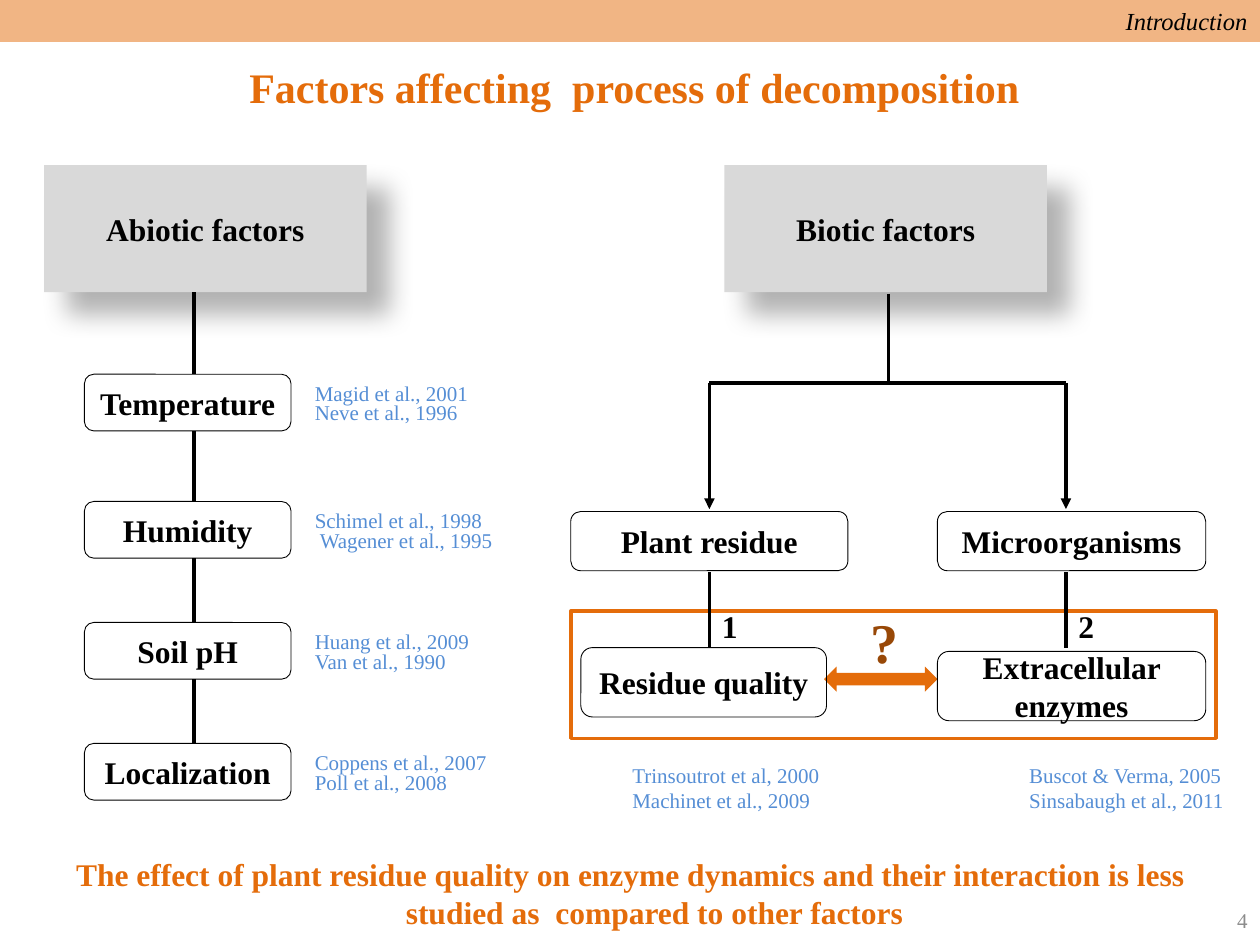
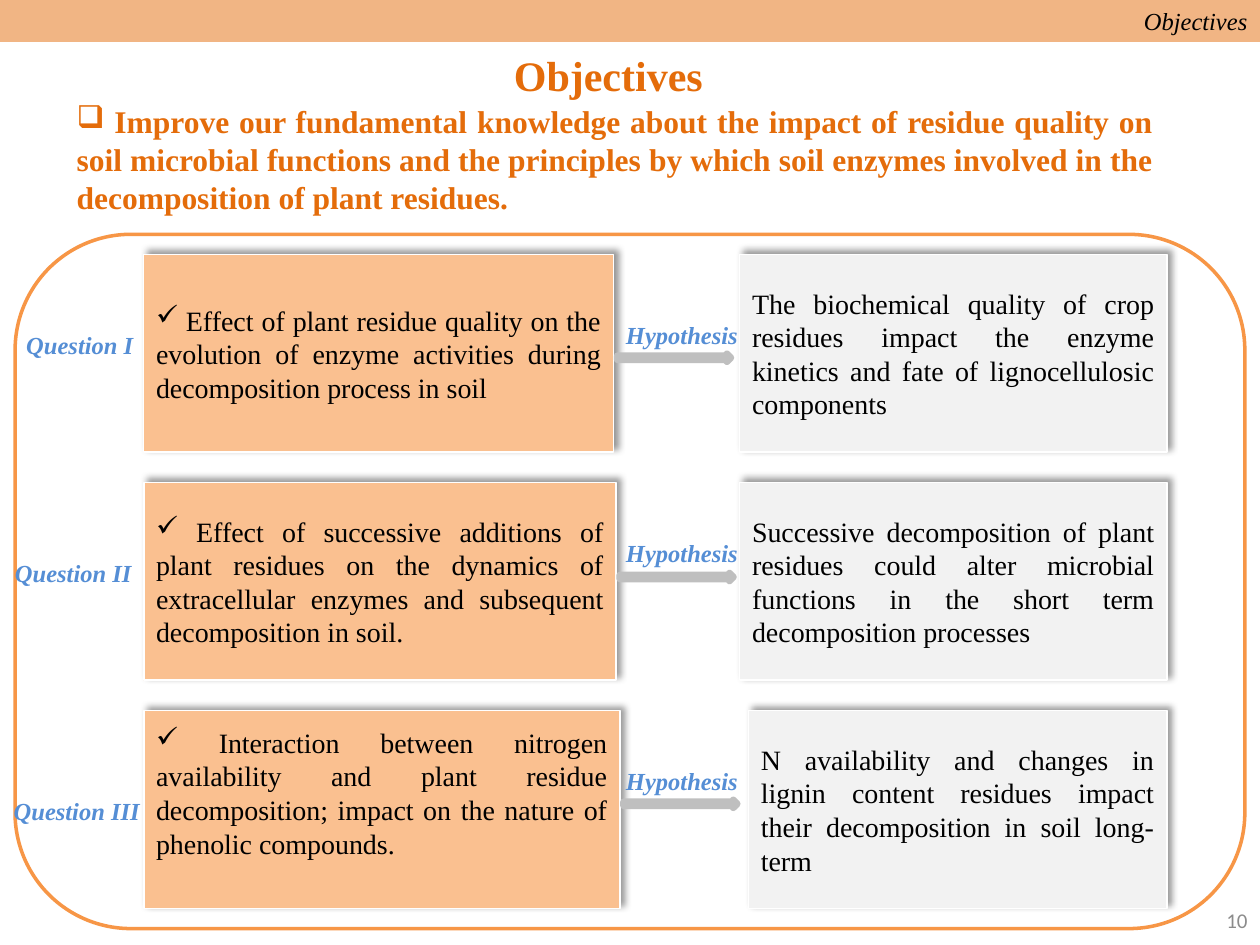
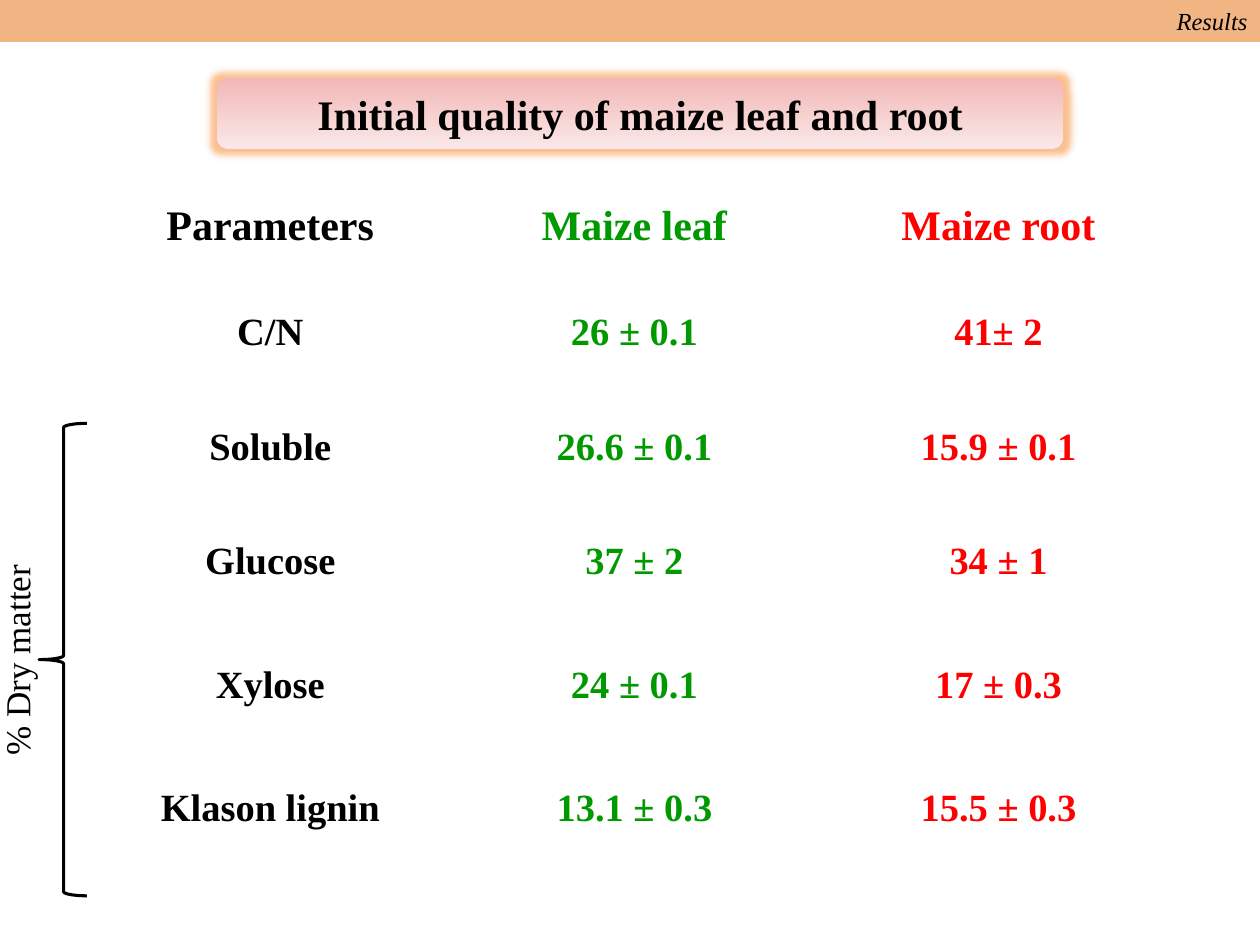
from typing import NamedTuple

from lxml import etree
from pptx import Presentation
from pptx.dml.color import RGBColor
from pptx.enum.shapes import MSO_CONNECTOR, MSO_SHAPE
from pptx.enum.text import MSO_ANCHOR, PP_ALIGN
from pptx.oxml.ns import qn
from pptx.util import Emu, Inches, Pt

RECTANGLE, ROUNDED = MSO_SHAPE.RECTANGLE, MSO_SHAPE.ROUNDED_RECTANGLE
RIGHT_ARROW, DOUBLE_ARROW = MSO_SHAPE.RIGHT_ARROW, MSO_SHAPE.LEFT_RIGHT_ARROW
BRACE, STRAIGHT = MSO_SHAPE.LEFT_BRACE, MSO_CONNECTOR.STRAIGHT
LEFT, CENTER, RIGHT, JUSTIFY = PP_ALIGN.LEFT, PP_ALIGN.CENTER, PP_ALIGN.RIGHT, PP_ALIGN.JUSTIFY
TOP, MIDDLE = MSO_ANCHOR.TOP, MSO_ANCHOR.MIDDLE

SLIDE_WIDTH, SLIDE_HEIGHT = Inches(10), Inches(7.5)
COLUMNS, ROWS = 100, 75
CELL = SLIDE_WIDTH / COLUMNS

BLACK, WHITE, ORANGE, BLUE = "000000", "FFFFFF", "E46C0A", "558ED5"
PEACH, LIGHT_ORANGE, BROWN = "FAC090", "F79646", "984807"
GREY, PALE_GREY, ARROW_GREY, DARK_GREY, NUMBER_GREY = "D9D9D9", "F2F2F2", "BFBFBF", "808080", "8C8C8C"
GREEN, RED = "009900", "FF0000"
SERIF, SANS = "Times New Roman", "Calibri"
DEEP_SHADOW, EDGE_SHADOW = (30, 15, 18, 45), (40, 4, 3, 315)


class Box(NamedTuple):
    """A rectangle measured in columns and rows of the slide grid."""
    left: float
    top: float
    width: float
    height: float

    def inner(self, left, top, width, height):
        """Return a box offset from this one's corner."""
        return Box(self.left + left, self.top + top, width, height)

    def emu(self):
        """Return the four lengths in slide units."""
        return [cells(length) for length in self]


class Style(NamedTuple):
    """The look of a piece of text."""
    size: float
    color: str = BLACK
    bold: bool = False
    italic: bool = False
    font: str = SERIF


TITLE = Style(24, ORANGE, bold=True)
STATEMENT = Style(18, ORANGE, bold=True)
LABEL = Style(18, bold=True)
REFERENCE = Style(12, BLUE)
CAPTION = Style(14, BLUE, bold=True, italic=True)
BODY = Style(16)


def cells(length):
    """Convert grid cells to slide units."""
    return Emu(round(length * CELL))


def rgb(color):
    """Turn a hex string into a colour."""
    return RGBColor.from_string(color)


def add_child(parent, tag, **attributes):
    """Append a drawing element with its attributes."""
    child = etree.SubElement(parent, qn(tag))
    for name, value in attributes.items():
        child.set(name, str(value))
    return child


def write(frame, lines, style, align=LEFT, anchor=TOP, wrap=True, bullet=None, hanging=0):
    """Fill a text frame with one paragraph per line."""
    frame.word_wrap = wrap
    frame.vertical_anchor = anchor
    for index, line in enumerate(lines):
        paragraph = frame.add_paragraph() if index else frame.paragraphs[0]
        paragraph.alignment = align
        run = paragraph.add_run()
        run.text = line
        font = run.font
        font.name, font.size = style.font, Pt(style.size)
        font.bold, font.italic = style.bold, style.italic
        font.color.rgb = rgb(style.color)
        properties = paragraph._p.get_or_add_pPr()
        properties.set("marL", str(cells(hanging)))
        properties.set("indent", str(-cells(hanging)))
        if bullet:
            add_child(properties, "a:buChar", char=bullet)


def add_text(slide, box, lines, style, **options):
    """Add a text box and return it."""
    text_box = slide.shapes.add_textbox(*box.emu())
    write(text_box.text_frame, lines, style, **options)
    return text_box


def add_shape(slide, kind, box, fill=None, line=None, width=1, shadow=None):
    """Add a preset shape with plain fill, outline and optional shadow."""
    shape = slide.shapes.add_shape(kind, *box.emu())
    shape.shadow.inherit = False
    if fill:
        shape.fill.solid()
        shape.fill.fore_color.rgb = rgb(fill)
    else:
        shape.fill.background()
    if line:
        shape.line.color.rgb = rgb(line)
        shape.line.width = Pt(width)
    else:
        shape.line.fill.background()
    if shadow:
        opacity, blur, distance, angle = shadow
        add_effect(shape, "a:outerShdw", BLACK, opacity, blurRad=Pt(blur), dist=Pt(distance),
                   dir=angle * 60000, algn="ctr", rotWithShape=0)
    return shape


def add_effect(shape, tag, color, opacity, **attributes):
    """Add a coloured effect to a shape."""
    effects = shape._element.spPr.find(qn("a:effectLst"))
    effect = add_child(effects, tag, **attributes)
    tint = add_child(effect, "a:srgbClr", val=color)
    add_child(tint, "a:alpha", val=opacity * 1000)


def add_line(slide, box, start, end, arrow=False):
    """Draw a black line between two points of a box."""
    points = [box.left + start[0], box.top + start[1], box.left + end[0], box.top + end[1]]
    connector = slide.shapes.add_connector(STRAIGHT, *map(cells, points))
    connector.line.color.rgb = rgb(BLACK)
    connector.line.width = Pt(2)
    if arrow:
        add_child(connector.line._get_or_add_ln(), "a:tailEnd", type="triangle")
    add_child(connector._element.spPr, "a:effectLst")


def add_factor(slide, box, text):
    """Add an outlined rounded box with a label."""
    shape = add_shape(slide, ROUNDED, box, line=BLACK, width=0.5)
    write(shape.text_frame, [text], LABEL, CENTER, MIDDLE)


def add_group_header(slide, box, text):
    """Add a grey header block with a deep shadow."""
    shape = add_shape(slide, RECTANGLE, box, GREY, shadow=DEEP_SHADOW)
    write(shape.text_frame, [text], LABEL, CENTER, MIDDLE)


def new_slide(presentation, section, number=None, number_font=SERIF):
    """Add a blank slide with the section band and page number."""
    slide = presentation.slides.add_slide(presentation.slide_layouts[6])
    band = add_shape(slide, RECTANGLE, Box(0, 0, COLUMNS, 3.33), ORANGE)
    fill = band._element.spPr.find(qn("a:solidFill"))
    add_child(fill[0], "a:alpha", val=50000)
    write(band.text_frame, [section], Style(14, italic=True), RIGHT, MIDDLE)
    if number:
        add_text(slide, Box(76.7, ROWS - 4, 23.3, 4), [number],
                 Style(12, NUMBER_GREY, font=number_font), align=RIGHT, anchor=MIDDLE)
    return slide


def abiotic_column(slide, box):
    """Draw the abiotic header with its chain of factors and references."""
    factors = [
        (16.6, "Temperature", "Magid et al., 2001", "Neve et al., 1996", 0),
        (26.7, "Humidity", "Schimel et al., 1998", "Wagener et al., 1995", 0.4),
        (36.3, "Soil pH", "Huang et al., 2009", "Van et al., 1990", 0),
        (45.9, "Localization", "Coppens et al., 2007", "Poll et al., 2008", 0),
    ]
    add_group_header(slide, box.inner(0, 0, 25.6, 10.1), "Abiotic factors")
    bottom = 10.1
    for top, name, first, second, shift in factors:
        add_line(slide, box, (11.9, bottom), (11.9, top))
        add_factor(slide, box.inner(3.2, top, 16.4, 4.5), name)
        add_text(slide, box.inner(20.5, top, 16, 3), [first], REFERENCE, wrap=False)
        add_text(slide, box.inner(20.5 + shift, top + 1.55, 16, 3), [second], REFERENCE, wrap=False)
        bottom = top + 4.5


def biotic_tree(slide, box):
    """Draw the biotic header, its two branches and their interaction."""
    left_box, right_box = box.inner(0, 27.5, 22, 4.7), box.inner(29.1, 27.5, 21.3, 4.7)
    quality_box, enzyme_box = box.inner(0.8, 38.3, 19.5, 5.5), box.inner(29.1, 38.6, 21.3, 5.5)
    branches = [
        (11, "1", left_box, "Plant residue", quality_box, "Residue quality",
         3.9, ["Trinsoutrot et al, 2000", "Machinet et al., 2009"]),
        (39.3, "2", right_box, "Microorganisms", enzyme_box, "Extracellular enzymes",
         35.4, ["Buscot & Verma, 2005", "Sinsabaugh et al., 2011"]),
    ]
    add_group_header(slide, box.inner(12.2, 0, 25.6, 10.1), "Biotic factors")
    add_line(slide, box, (25.2, 10.2), (25.2, 17.3))
    add_line(slide, box, (11, 17.3), (39.3, 17.3))
    add_shape(slide, RECTANGLE, box.inner(0, 35.4, 51.2, 10.1), line=ORANGE, width=2)
    add_shape(slide, DOUBLE_ARROW, box.inner(20.1, 39.8, 9, 2), ORANGE)
    add_text(slide, box.inner(22.8, 34.6, 7.1, 6.4), ["?"], Style(32, BROWN, bold=True))
    for x, digit, cause_box, cause, effect_box, effect, reference_left, references in branches:
        add_line(slide, box, (x, 17.3), (x, 27.3), arrow=True)
        add_factor(slide, cause_box, cause)
        add_line(slide, box, (x, 32.3), (x, 38.3))
        add_text(slide, box.inner(x, 34.6, 5.5, 4), [digit], LABEL)
        add_factor(slide, effect_box, effect)
        add_text(slide, box.inner(reference_left, 46.9, 17.5, 5), references, REFERENCE, wrap=False)


def factors_slide(presentation):
    """Build the overview of decomposition factors."""
    slide = new_slide(presentation, "Introduction", "4")
    add_text(slide, Box(11, 4.4, 78.7, 5), ["Factors affecting  process of decomposition"],
             TITLE, align=CENTER)
    abiotic_column(slide, Box(3.5, 13.1, 38, 50.5))
    biotic_tree(slide, Box(45.3, 13.1, 51.2, 52))
    conclusion = ("The effect of plant residue quality on enzyme dynamics and their interaction "
                  "is less studied as  compared to other factors")
    add_text(slide, Box(2.8, 67.4, 94.5, 7.1), [conclusion], STATEMENT, align=CENTER, hanging=3.8)


def add_statement(slide, box, fill, text, bullet=None):
    """Add a filled block of justified text and return it."""
    shape = add_shape(slide, RECTANGLE, box, fill, WHITE, 1, EDGE_SHADOW)
    write(shape.text_frame, [text], BODY, JUSTIFY, MIDDLE, bullet=bullet)
    return shape


def question_row(slide, box, name, name_place, question, question_width,
                 hypothesis, hypothesis_left, caption_top, arrow_top):
    """Draw one question, its arrow and its hypothesis."""
    name_left, name_top = name_place
    add_text(slide, box.inner(name_left, name_top, 12.1, 3.4), [name], CAPTION, wrap=False)
    block = add_statement(slide, box.inner(11.4, 0, question_width, box.height),
                          PEACH, " " + question, "✓")
    add_statement(slide, box.inner(hypothesis_left, 0, box.width - hypothesis_left, box.height),
                  PALE_GREY, hypothesis)
    add_shape(slide, RIGHT_ARROW, box.inner(11.7 + question_width, arrow_top, 9, 0.6),
              DARK_GREY, ARROW_GREY, 4)
    add_text(slide, box.inner(48.7, caption_top, 11, 3.4), ["Hypothesis"], CAPTION, wrap=False)
    return block


def objectives_slide(presentation):
    """Build the objectives with three questions and hypotheses."""
    slide = new_slide(presentation, "Objectives", "10", SANS)
    add_text(slide, Box(39.8, 3.4, 20.5, 5), ["Objectives"], TITLE)
    aim = (" Improve our fundamental knowledge about the impact of residue quality on soil "
           "microbial functions and the principles by which soil enzymes involved in the "
           "decomposition of plant residues.")
    add_text(slide, Box(5.1, 7.6, 87.4, 10.1), [aim], STATEMENT, align=JUSTIFY, bullet="❑")
    add_shape(slide, ROUNDED, Box(1.2, 18.6, 97.6, 55.1), WHITE, LIGHT_ORANGE, 2)
    questions = [
        ("Question I", (1.1, 5.5),
         "Effect of plant residue quality on the evolution of enzyme activities during "
         "decomposition process in soil", 37.3,
         "The biochemical quality of crop residues impact the enzyme kinetics and fate of "
         "lignocellulosic components", 58.7, 4.7, 7.9),
        ("Question II", (0.2, 5.5),
         "Effect of successive additions of plant residues on the dynamics of extracellular "
         "enzymes and subsequent decomposition in soil.", 37.5,
         "Successive decomposition of plant residues could alter microbial functions in the "
         "short term decomposition processes", 58.7, 3.9, 7.2),
        ("Question III", (0.1, 6.3),
         "Interaction between nitrogen availability and plant residue decomposition; impact "
         "on the nature of phenolic compounds.", 37.8,
         "N availability and changes in lignin content residues impact their decomposition "
         "in soil long-term", 59.4, 3.9, 7.1),
    ]
    for index, question in enumerate(questions):
        block = question_row(slide, Box(0, 20.2 + 18.1 * index, 92.6, 15.7), *question)
    block.text_frame.margin_bottom = cells(3.2)


def results_heading(slide, box, text):
    """Add a glowing gradient heading."""
    heading = add_shape(slide, ROUNDED, box)
    heading.fill.gradient()
    heading.fill.gradient_angle = 270
    for stop, color in zip(heading.fill.gradient_stops, ("F2B7B6", "FAE8E8")):
        stop.color.rgb = rgb(color)
    add_effect(heading, "a:glow", LIGHT_ORANGE, 60, rad=Pt(8))
    write(heading.text_frame, [text], Style(24, bold=True), CENTER, MIDDLE)


def quality_table(slide, box, rows, heights):
    """Add the table of leaf and root values."""
    table = slide.shapes.add_table(len(rows), len(rows[0]), *box.emu()).table
    for column in table.columns:
        column.width = cells(box.width / len(rows[0]))
    for index, (row, height) in enumerate(zip(rows, heights)):
        table.rows[index].height = cells(height)
        for position, (text, color) in enumerate(zip(row, (BLACK, GREEN, RED))):
            cell = table.cell(index, position)
            cell.fill.solid()
            cell.fill.fore_color.rgb = rgb(WHITE)
            write(cell.text_frame, [text], Style(22 if index else 24, color, bold=True), CENTER)


def results_slide(presentation):
    """Build the initial quality results."""
    slide = new_slide(presentation, "Results")
    results_heading(slide, Box(17.2, 6.2, 67.2, 5.6), "Initial quality of maize leaf and root")
    add_shape(slide, BRACE, Box(3.1, 33.6, 3.9, 37.5), line=BLACK, width=1.75)
    unit = add_text(slide, Box(-8, 49.4, 18.7, 4.4), ["% Dry matter"], Style(20))
    unit.rotation = 270
    rows = [
        ("Parameters", "Maize leaf", "Maize root"),
        ("C/N", "26 ± 0.1", "41± 2"),
        ("Soluble", "26.6 ± 0.1", "15.9 ± 0.1"),
        ("Glucose", "37 ± 2", "34 ± 1"),
        ("Xylose", "24 ± 0.1", "17 ± 0.3"),
        ("Klason lignin", "13.1 ± 0.3", "15.5 ± 0.3"),
    ]
    quality_table(slide, Box(7, 15.6, 86.7, 56.2), rows, (8.6, 9.1, 9.1, 9.8, 9.8, 9.8))


def main():
    """Build and save the presentation."""
    presentation = Presentation()
    presentation.slide_width, presentation.slide_height = SLIDE_WIDTH, SLIDE_HEIGHT
    factors_slide(presentation)
    objectives_slide(presentation)
    results_slide(presentation)
    presentation.save("out.pptx")


if __name__ == "__main__":
    main()
